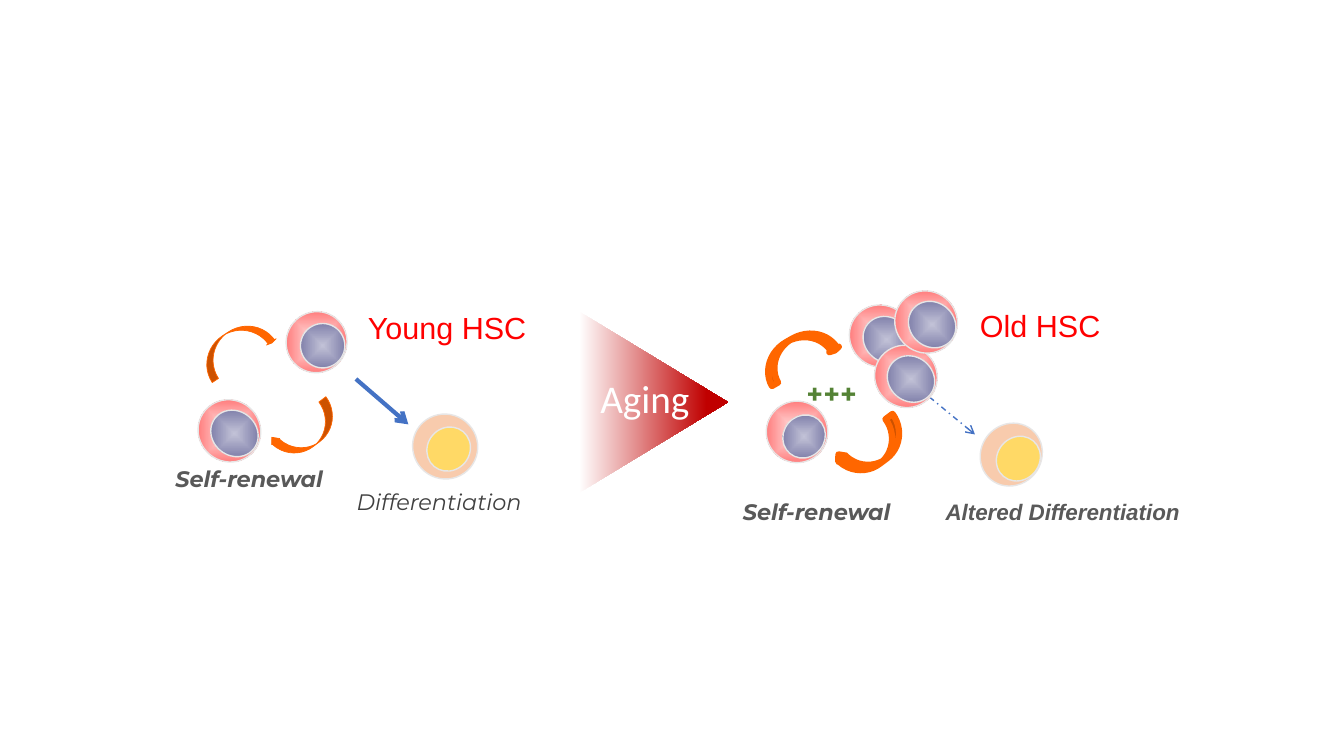
from pptx import Presentation
from pptx.dml.color import RGBColor
from pptx.enum.dml import MSO_LINE
from pptx.enum.shapes import MSO_CONNECTOR, MSO_SHAPE as Preset
from pptx.enum.text import MSO_AUTO_SIZE as AutoSize, PP_ALIGN as Align
from pptx.oxml import parse_xml
from pptx.oxml.ns import nsdecls, qn
from pptx.util import Inches, Pt


def rgb(value):
    return RGBColor.from_string(value)


class AgingSlide:
    """Draws the cells, arrows and labels of the stem cell aging slide."""

    MEMBRANE = ("FFEAEA", "FF5050")
    NUCLEUS = ("C2C2D7", "666699")
    RIM = "E7E6E6"
    RENEWAL = "FF6600"
    DIFFERENTIATION = "4472C4"
    CELL_TILT = 39.9

    def __init__(self, slide):
        self.shapes = slide.shapes

    def preset(self, kind, box, fill, line=None, width=1, rotation=0, adjust=()):
        shape = self.shapes.add_shape(kind, *map(Inches, box))
        shape.shadow.inherit = False
        shape.rotation = rotation
        for index, value in enumerate(adjust):
            shape.adjustments[index] = value
        if isinstance(fill, tuple):
            shape.fill.gradient()
            for stop, color in zip(shape.fill.gradient_stops, fill):
                stop.color.rgb = rgb(color)
        else:
            shape.fill.solid()
            shape.fill.fore_color.rgb = rgb(fill)
        if line:
            shape.line.color.rgb = rgb(line)
            shape.line.width = Pt(width)
        else:
            shape.line.fill.background()
        return shape

    def disc(self, box, fill):
        disc = self.preset(Preset.OVAL, box, fill, self.RIM, rotation=self.CELL_TILT)
        if isinstance(fill, tuple):
            gradient = disc._element.spPr.find(qn("a:gradFill"))
            gradient.replace(gradient.find(qn("a:lin")), parse_xml(
                f'<a:path {nsdecls("a")} path="shape">'
                '<a:fillToRect l="50000" t="50000" r="50000" b="50000"/></a:path>'))

    def stem_cell(self, membrane, nucleus):
        self.disc(membrane, self.MEMBRANE)
        self.disc(nucleus, self.NUCLEUS)

    def mature_cell(self, membrane, nucleus):
        self.disc(membrane, "F8CBAD")
        self.disc(nucleus, "FFD966")

    def renewal_arrow(self, box, rotation, adjust, width):
        self.preset(Preset.CURVED_DOWN_ARROW, box, self.RENEWAL, self.RENEWAL,
                    width, rotation, adjust)

    def differentiation_arrow(self, start, end, width, dash=None):
        arrow = self.shapes.add_connector(
            MSO_CONNECTOR.STRAIGHT, *map(Inches, (*start, *end)))
        arrow.line.color.rgb = rgb(self.DIFFERENTIATION)
        arrow.line.width = Pt(width)
        if dash:
            arrow.line.dash_style = dash
        arrow.line._get_or_add_ln().append(
            parse_xml(f'<a:tailEnd {nsdecls("a")} type="arrow"/>'))
        arrow._element.spPr.append(parse_xml(f'<a:effectLst {nsdecls("a")}/>'))

    def aging_wedge(self, box):
        wedge = self.preset(Preset.RIGHT_ARROW, box, ("FFFFFF", "C00000"), adjust=(0.5, 1))
        wedge.fill.gradient_angle = 0
        wedge.fill.gradient_stops[1].position = 0.86

    def label(self, text, box, size=16, font="Montserrat", color="595959",
              bold=False, italic=False, align=Align.LEFT, wrap=True):
        frame = self.shapes.add_textbox(*map(Inches, box)).text_frame
        frame.word_wrap = wrap
        frame.auto_size = AutoSize.SHAPE_TO_FIT_TEXT
        paragraph = frame.paragraphs[0]
        paragraph.alignment = align
        run = paragraph.add_run()
        run.text = text
        run.font.size = Pt(size)
        run.font.name = font
        run.font.bold = bold
        run.font.italic = italic
        run.font.color.rgb = rgb(color)


def main():
    deck = Presentation()
    deck.slide_width, deck.slide_height = Inches(13.33), Inches(7.5)
    page = AgingSlide(deck.slides.add_slide(deck.slide_layouts[6]))

    heading = dict(size=21.8, font="Arial", color="FF0000")
    strong = dict(bold=True, italic=True)
    upper_bend, lower_bend = (0.226, 0.35, 0.039), (0.272, 0.311, 0.178)

    page.stem_cell((2.84, 3.09, 0.6, 0.61), (2.98, 3.21, 0.44, 0.44))
    page.stem_cell((1.96, 3.97, 0.63, 0.61), (2.08, 4.08, 0.49, 0.44))
    page.renewal_arrow((1.95, 3.28, 0.77, 0.33), 326.5, upper_bend, 0.5)
    page.renewal_arrow((2.68, 4.12, 0.72, 0.32), 143.1, lower_bend, 0.5)
    page.differentiation_arrow((3.53, 3.76), (4.05, 4.21), 3)
    page.mature_cell((4.09, 4.11, 0.65, 0.64), (4.24, 4.23, 0.42, 0.45))
    page.label("Young HSC", (3.55, 3.02, 1.86, 0.47), **heading)
    page.label("Self-renewal", (1.64, 4.57, 2.05, 0.37), **strong)
    page.label("Differentiation", (3.44, 4.79, 1.97, 0.37), color="404040",
               italic=True, wrap=False)

    page.stem_cell((8.42, 3.03, 0.63, 0.61), (8.55, 3.15, 0.49, 0.44))
    page.renewal_arrow((7.53, 3.35, 0.77, 0.31), 330.5, upper_bend, 4.5)
    page.renewal_arrow((8.3, 4.29, 0.72, 0.32), 143.1, lower_bend, 4.5)
    page.differentiation_arrow((9.22, 3.94), (9.67, 4.31), 1, MSO_LINE.DASH_DOT)
    page.mature_cell((9.73, 4.19, 0.6, 0.64), (9.89, 4.32, 0.42, 0.46))
    page.stem_cell((7.6, 3.98, 0.61, 0.61), (7.77, 4.11, 0.41, 0.44))
    page.stem_cell((8.67, 3.43, 0.63, 0.61), (8.79, 3.54, 0.49, 0.44))
    page.stem_cell((8.87, 2.89, 0.63, 0.61), (9, 3, 0.49, 0.44))
    page.label("Old HSC", (9.62, 3, 1.41, 0.47), wrap=False, **heading)
    page.label("Self-renewal", (6.85, 4.89, 2.5, 0.37), align=Align.CENTER, **strong)
    page.label("Altered Differentiation", (9.28, 4.89, 2.68, 0.37), font="Arial", **strong)
    page.label("+++", (7.9, 3.69, 0.76, 0.44), size=20, color="548235",
               bold=True, wrap=False)

    page.aging_wedge((5.74, 3.09, 1.48, 1.8))
    page.label("Aging", (5.7, 3.66, 1.39, 0.57), size=28, font="Calibri",
               color="FFFFFF", align=Align.CENTER)

    deck.save("out.pptx")


if __name__ == "__main__":
    main()
